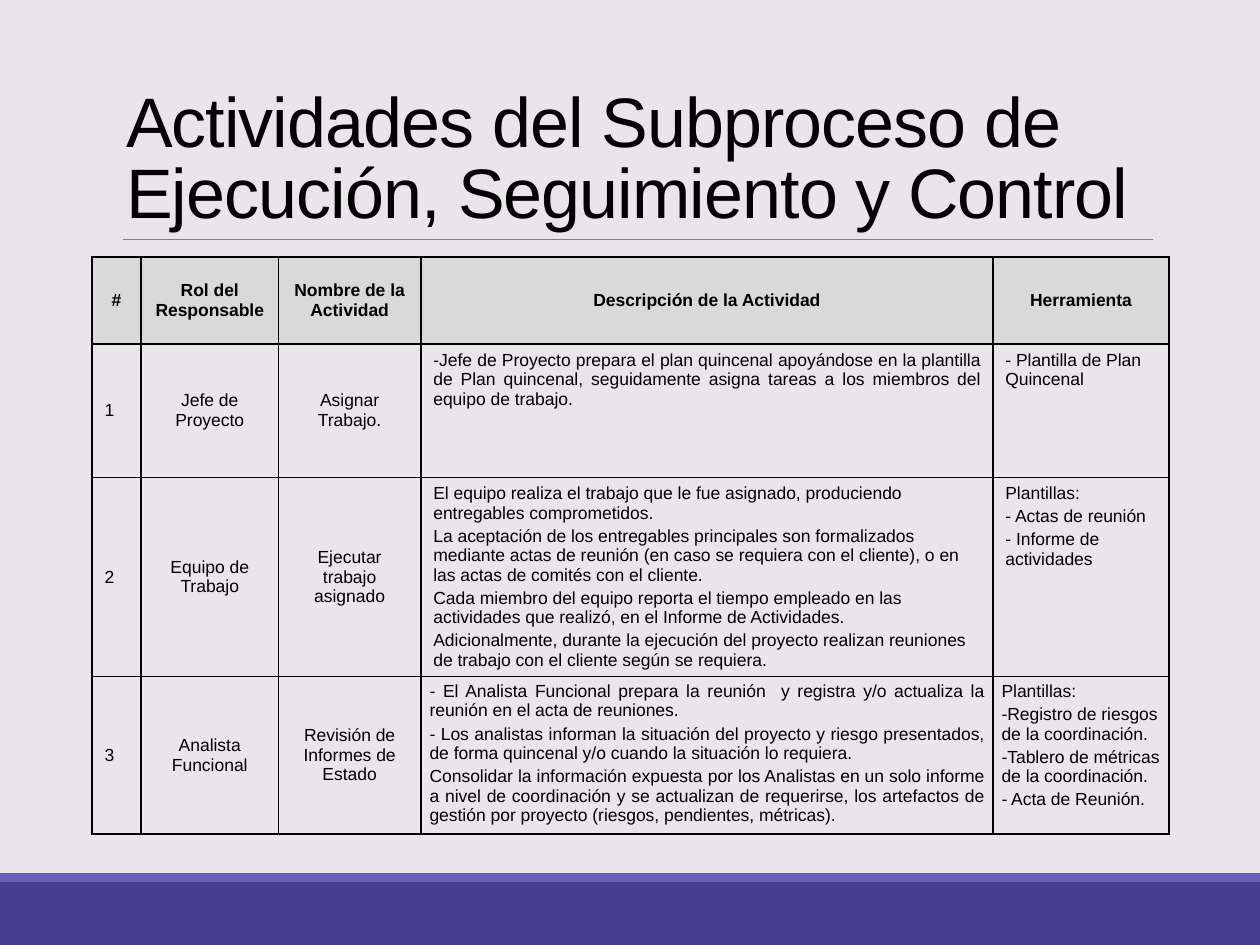
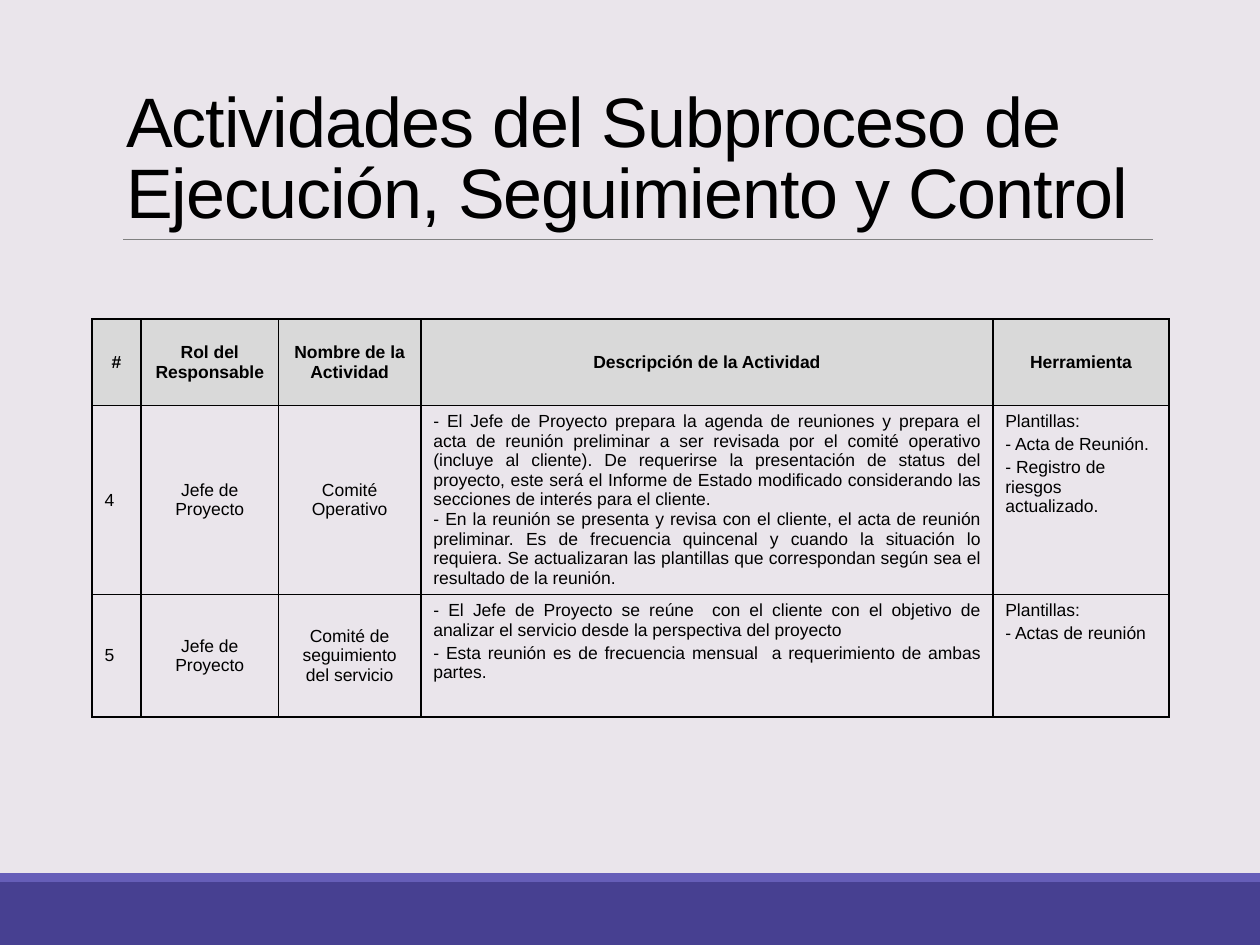
from dataclasses import dataclass

from lxml import etree
from pptx import Presentation
from pptx.dml.color import RGBColor
from pptx.enum.shapes import MSO_CONNECTOR, MSO_SHAPE
from pptx.enum.text import MSO_ANCHOR, MSO_AUTO_SIZE, PP_ALIGN
from pptx.oxml.ns import qn
from pptx.util import Inches, Pt

LEFT, CENTER, JUSTIFY = PP_ALIGN.LEFT, PP_ALIGN.CENTER, PP_ALIGN.JUSTIFY
TOP, MIDDLE, BOTTOM = MSO_ANCHOR.TOP, MSO_ANCHOR.MIDDLE, MSO_ANCHOR.BOTTOM
NO_AUTOFIT = MSO_AUTO_SIZE.NONE
RECTANGLE, STRAIGHT = MSO_SHAPE.RECTANGLE, MSO_CONNECTOR.STRAIGHT
TITLE_ONLY = 5


@dataclass(frozen=True)
class Theme:
    background: str = "EAE5EB"
    footer: str = "474091"
    footer_edge: str = "665EB8"
    rule: str = "808080"
    text: str = "000000"
    header_fill: str = "D9D9D9"
    border: str = "000000"
    font: str = "Arial"
    title_size: float = 40
    cell_size: float = 10
    rule_width: float = 0.5
    border_width: float = 1
    paragraph_gap: float = 2


@dataclass(frozen=True)
class Activity:
    number: str
    role: str
    name: str
    description: tuple
    tools: tuple
    height: float
    description_align: PP_ALIGN = JUSTIFY
    description_gap: float = Theme.paragraph_gap
    margins: tuple = (0.1, 0.05)


THEME = Theme()
TITLE = "Actividades del Subproceso de Ejecución, Seguimiento y Control"
HEADERS = ("#", "Rol del Responsable", "Nombre de la Actividad",
           "Descripción de la Actividad", "Herramienta")
COLUMN_WIDTHS = (0.39, 1.09, 1.13, 4.54, 1.4)
HEADER_HEIGHT = 0.69
TABLE_LEFT = 0.73

EXECUTION = (
    Activity(
        "1", "Jefe de Proyecto", "Asignar Trabajo.",
        ("-Jefe de Proyecto prepara el plan quincenal apoyándose en la plantilla de Plan "
         "quincenal, seguidamente asigna tareas a los miembros del equipo de trabajo.",),
        ("- Plantilla de Plan Quincenal",),
        height=1.06),
    Activity(
        "2", "Equipo de Trabajo", "Ejecutar trabajo asignado",
        ("El equipo realiza el trabajo que le fue asignado, produciendo entregables "
         "comprometidos.",
         "La aceptación de los entregables principales son formalizados mediante actas de "
         "reunión (en caso se requiera con el cliente), o en las actas de comités con el "
         "cliente.",
         "Cada miembro del equipo reporta el tiempo empleado en las actividades que realizó, "
         "en el Informe de Actividades.",
         "Adicionalmente, durante la ejecución del proyecto realizan reuniones de trabajo con "
         "el cliente según se requiera."),
        ("Plantillas:", "- Actas de reunión", "- Informe de actividades"),
        height=1.58, description_align=LEFT),
    Activity(
        "3", "Analista Funcional", "Revisión de Informes de Estado",
        ("- El Analista Funcional prepara la reunión  y registra y/o actualiza la reunión en "
         "el acta de reuniones.",
         "- Los analistas informan la situación del proyecto y riesgo presentados, de forma "
         "quincenal y/o cuando la situación lo requiera.",
         "Consolidar la información expuesta por los Analistas en un solo informe a nivel de "
         "coordinación y se actualizan de requerirse, los artefactos de gestión por proyecto "
         "(riesgos, pendientes, métricas)."),
        ("Plantillas:", "-Registro de riesgos de la coordinación.",
         "-Tablero de métricas de la coordinación.", "- Acta de Reunión."),
        height=1.25, margins=(0.07, 0.04)),
)

FOLLOW_UP = (
    Activity(
        "4", "Jefe de Proyecto", "Comité Operativo",
        ("- El Jefe de Proyecto prepara la agenda de reuniones y prepara el acta de reunión "
         "preliminar a ser revisada por el comité operativo (incluye al cliente). De "
         "requerirse la presentación de status del proyecto, este será el Informe de Estado "
         "modificado considerando las secciones de interés para el cliente.",
         "- En la reunión se presenta y revisa con el cliente, el acta de reunión preliminar. "
         "Es de frecuencia quincenal y cuando la situación lo requiera. Se actualizaran las "
         "plantillas que correspondan según sea el resultado de la reunión."),
        ("Plantillas:", "- Acta de Reunión.", "- Registro de riesgos actualizado."),
        height=1.5, description_gap=0),
    Activity(
        "5", "Jefe de Proyecto", "Comité de seguimiento del servicio",
        ("- El Jefe de Proyecto se reúne  con el cliente con el objetivo de analizar el "
         "servicio desde la perspectiva del proyecto",
         "- Esta reunión es de frecuencia mensual  a requerimiento de ambas partes."),
        ("Plantillas:", "- Actas de reunión"),
        height=0.97),
)


def apply_format(target, values):
    for attribute, value in values.items():
        setattr(target, attribute, value)


def style_font(font, size, bold=False):
    apply_format(font, {"name": THEME.font, "size": Pt(size), "bold": bold})
    font.color.rgb = RGBColor.from_string(THEME.text)


def paint(fill, color):
    fill.solid()
    fill.fore_color.rgb = RGBColor.from_string(color)


def add_band(slide, top, height, color):
    band = slide.shapes.add_shape(RECTANGLE, 0, Inches(top), Inches(10), Inches(height))
    band.shadow.inherit = False
    paint(band.fill, color)
    band.line.fill.background()


def add_title_rule(slide):
    rule = slide.shapes.add_connector(
        STRAIGHT, Inches(0.98), Inches(1.9), Inches(9.15), Inches(1.9))
    rule.line.color.rgb = RGBColor.from_string(THEME.rule)
    rule.line.width = Pt(THEME.rule_width)
    etree.SubElement(rule._element.spPr, qn("a:effectLst"))


def set_title(slide):
    title = slide.shapes.title
    apply_format(title, {"left": Inches(0.9), "top": Inches(0.31),
                         "width": Inches(8.25), "height": Inches(1.59)})
    frame = title.text_frame
    frame.text = TITLE
    apply_format(frame, {"vertical_anchor": BOTTOM, "auto_size": NO_AUTOFIT,
                         "word_wrap": True})
    paragraph = frame.paragraphs[0]
    apply_format(paragraph, {"alignment": LEFT, "line_spacing": 0.85})
    run = paragraph.runs[0]
    style_font(run.font, THEME.title_size)
    run.font._element.set("spc", "-50")


def add_borders(cell):
    properties = cell._tc.get_or_add_tcPr()
    for side in ("lnL", "lnR", "lnT", "lnB"):
        line = etree.SubElement(properties, qn(f"a:{side}"),
                                w=str(Pt(THEME.border_width)))
        fill = etree.SubElement(line, qn("a:solidFill"))
        etree.SubElement(fill, qn("a:srgbClr"), val=THEME.border)


def fill_cell(cell, texts, alignment, anchor=MIDDLE, gap=0, bold=False,
              margins=(0.1, 0.05), color=None):
    """Write one paragraph per text, with gap points between them."""
    side, edge = map(Inches, margins)
    apply_format(cell, {"vertical_anchor": anchor, "margin_left": side,
                        "margin_right": side, "margin_top": edge, "margin_bottom": edge})
    add_borders(cell)
    if color:
        paint(cell.fill, color)
    else:
        cell.fill.background()
    frame = cell.text_frame
    for index, text in enumerate(texts):
        paragraph = frame.add_paragraph() if index else frame.paragraphs[0]
        paragraph.alignment = alignment
        if index:
            paragraph.space_before = Pt(gap)
        run = paragraph.add_run()
        run.text = text
        style_font(run.font, THEME.cell_size, bold)


def fill_activity(cells, activity):
    number, role, name, description, tools = cells
    fill_cell(number, (activity.number,), LEFT)
    fill_cell(role, (activity.role,), CENTER)
    fill_cell(name, (activity.name,), CENTER)
    fill_cell(description, activity.description, activity.description_align, TOP,
              activity.description_gap, margins=activity.margins)
    fill_cell(tools, activity.tools, LEFT, TOP, THEME.paragraph_gap,
              margins=activity.margins)


def add_activity_table(slide, activities, top):
    heights = [HEADER_HEIGHT] + [activity.height for activity in activities]
    table = slide.shapes.add_table(
        len(heights), len(HEADERS), Inches(TABLE_LEFT), Inches(top),
        Inches(sum(COLUMN_WIDTHS)), Inches(sum(heights))).table
    table.horz_banding = False
    for column, width in zip(table.columns, COLUMN_WIDTHS):
        column.width = Inches(width)
    for row, height in zip(table.rows, heights):
        row.height = Inches(height)
    header_row, *activity_rows = table.rows
    for cell, label in zip(header_row.cells, HEADERS):
        fill_cell(cell, (label,), CENTER, bold=True, color=THEME.header_fill)
    for row, activity in zip(activity_rows, activities):
        fill_activity(row.cells, activity)


def add_activity_slide(deck, activities, table_top):
    slide = deck.slides.add_slide(deck.slide_layouts[TITLE_ONLY])
    add_band(slide, 7, 0.5, THEME.footer)
    add_band(slide, 6.93, 0.07, THEME.footer_edge)
    add_title_rule(slide)
    set_title(slide)
    add_activity_table(slide, activities, table_top)


def main():
    deck = Presentation()
    apply_format(deck, {"slide_width": Inches(10), "slide_height": Inches(7.5)})
    paint(deck.slide_master.background.fill, THEME.background)
    add_activity_slide(deck, EXECUTION, table_top=2.04)
    add_activity_slide(deck, FOLLOW_UP, table_top=2.53)
    deck.save("out.pptx")


if __name__ == "__main__":
    main()
